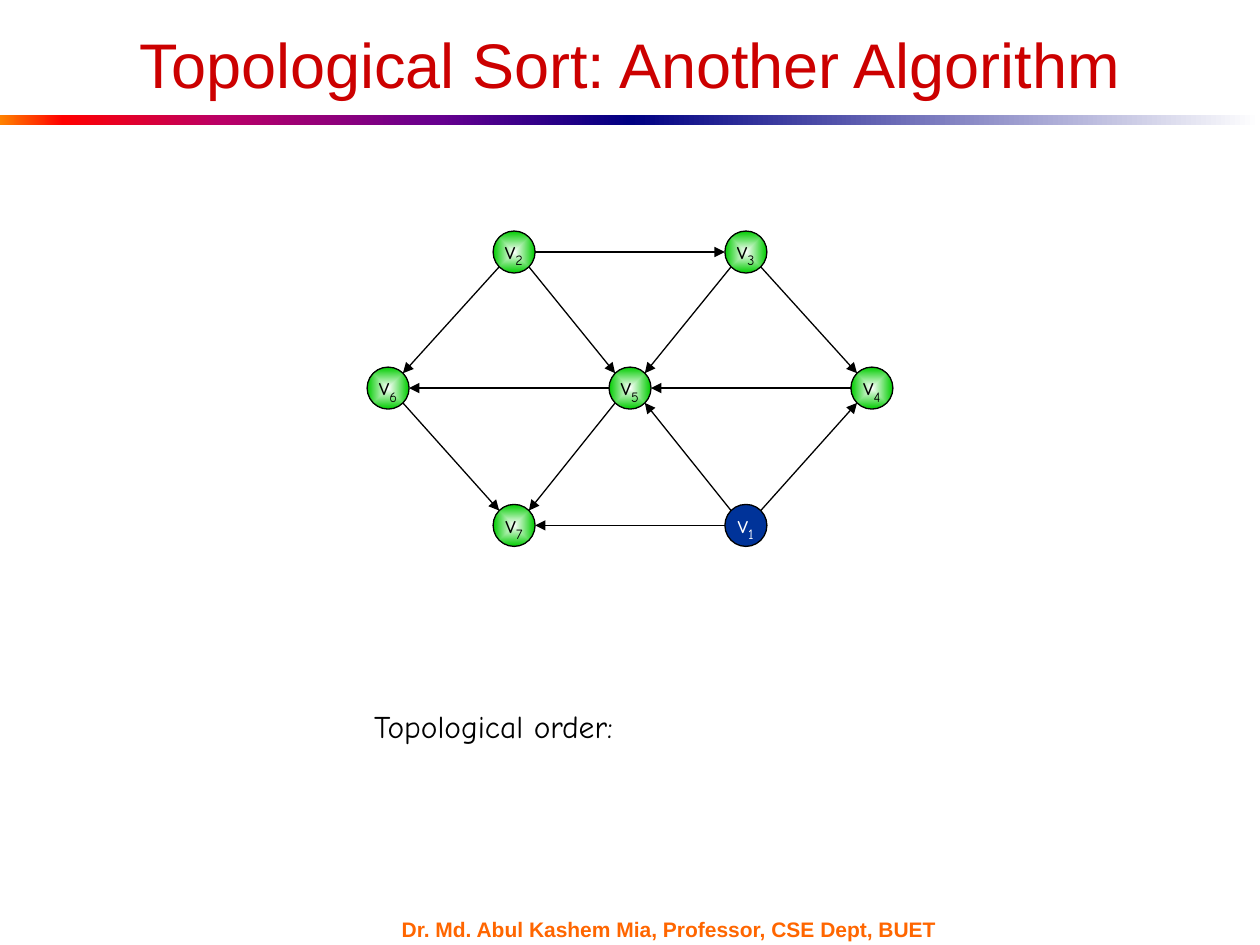
from math import sqrt
from pptx import Presentation
from pptx.dml.color import RGBColor
from pptx.enum.shapes import MSO_CONNECTOR as Connector, MSO_SHAPE as Shape
from pptx.enum.text import MSO_ANCHOR as Anchor, PP_ALIGN as Align
from pptx.oxml import parse_xml
from pptx.oxml.ns import nsdecls, qn
from pptx.util import Inches, Pt

TITLE = "Topological Sort: Another Algorithm"
ORDER_LABEL = "Topological order:"
FOOTER = "Dr. Md. Abul Kashem Mia, Professor, CSE Dept, BUET"

RULE = [
    [(0, "FF8200"), (10, "FF0000"), (35, "BA0066"), (70, "66008F"), (100, "000082")],
    [(0, "000082"), (100, "FFFFFF")],
]
VERTICES = {
    "2": (4.08, 2), "3": (5.92, 2),
    "6": (3.08, 3.08), "5": (5, 3.08), "4": (6.92, 3.08),
    "7": (4.08, 4.17), "1": (5.92, 4.17),
}
CURRENT = "1"
EDGES = ["26", "25", "23", "34", "45", "14", "57", "15", "17", "67", "56", "35"]
VERTEX_FILL = [(0, "FFFFFF"), (100, "00CC00")]
RADIUS = 1 / 6
LINEAR = '<a:lin ang="0" scaled="1"/>'
RADIAL = '<a:path path="shape"><a:fillToRect l="50000" t="50000" r="50000" b="50000"/></a:path>'

prs = Presentation()
prs.slide_width, prs.slide_height = Inches(10), Inches(7.5)
slide = prs.slides.add_slide(prs.slide_layouts[6])


def color(value):
    return RGBColor.from_string(value)


def paint_gradient(shape, stops, direction):
    colors = "".join(
        f'<a:gs pos="{pos * 1000}"><a:srgbClr val="{value}"/></a:gs>' for pos, value in stops
    )
    gradient = parse_xml(
        f'<a:gradFill {nsdecls("a")} rotWithShape="1"><a:gsLst>{colors}</a:gsLst>{direction}</a:gradFill>'
    )
    shape.fill.solid()
    properties = shape.element.spPr
    properties.replace(properties.find(qn("a:solidFill")), gradient)


def add_shape(kind, left, top, width, height):
    shape = slide.shapes.add_shape(kind, Inches(left), Inches(top), Inches(width), Inches(height))
    shape.shadow.inherit = False
    return shape


def write(shape, text, size, ink, font="Arial", bold=False, align=Align.LEFT,
          anchor=Anchor.MIDDLE, wrap=True, subscript=""):
    frame = shape.text_frame
    frame.word_wrap = wrap
    frame.vertical_anchor = anchor
    paragraph = frame.paragraphs[0]
    paragraph.alignment = align
    for content, baseline in ((text, 0), (subscript, -25000)):
        if not content:
            continue
        run = paragraph.add_run()
        run.text = content
        run.font.name, run.font.size, run.font.bold = font, Pt(size), bold
        run.font.color.rgb = color(ink)
        if baseline:
            run.font._element.set("baseline", str(baseline))


def add_text(left, top, width, height, text, **style):
    box = slide.shapes.add_textbox(Inches(left), Inches(top), Inches(width), Inches(height))
    write(box, text, **style)


def add_vertex(number, x, y):
    vertex = add_shape(Shape.OVAL, x - RADIUS, y - RADIUS, 2 * RADIUS, 2 * RADIUS)
    if number == CURRENT:
        vertex.fill.solid()
        vertex.fill.fore_color.rgb = color("003399")
    else:
        paint_gradient(vertex, VERTEX_FILL, RADIAL)
    vertex.line.color.rgb = color("000000")
    vertex.line.width = Pt(0.75)
    write(vertex, "v", subscript=number, size=14, font="Comic Neue", align=Align.CENTER,
          ink="FFFFFF" if number == CURRENT else "000000", wrap=False)


def add_edge(source, target):
    (x1, y1), (x2, y2) = VERTICES[source], VERTICES[target]
    step_x = (x2 > x1) - (x2 < x1)
    step_y = (y2 > y1) - (y2 < y1)
    reach = RADIUS / sqrt(step_x ** 2 + step_y ** 2)
    dx, dy = step_x * reach, step_y * reach
    ends = (x1 + dx, y1 + dy, x2 - dx, y2 - dy)
    edge = slide.shapes.add_connector(Connector.STRAIGHT, *map(Inches, ends))
    edge.line.color.rgb = color("000000")
    edge.line.width = Pt(0.75)
    edge.line._get_or_add_ln().append(parse_xml(f'<a:tailEnd {nsdecls("a")} type="triangle"/>'))
    edge._element.spPr.append(parse_xml(f'<a:effectLst {nsdecls("a")}/>'))


for index, stops in enumerate(RULE):
    half = add_shape(Shape.RECTANGLE, 5 * index, 0.91, 5, 0.08)
    paint_gradient(half, stops, LINEAR)
    half.line.fill.background()

add_text(3.09, 7.28, 4.67, 0.18, FOOTER, size=12, ink="FF6600", bold=True)
add_text(2.87, 5.56, 2.45, 0.45, ORDER_LABEL, size=18, ink="000000",
         font="Comic Neue", anchor=Anchor.TOP)

for number, (x, y) in VERTICES.items():
    add_vertex(number, x, y)
for source, target in EDGES:
    add_edge(source, target)

add_text(0.5, 0.25, 9, 0.51, TITLE, size=36, ink="CC0000", align=Align.CENTER)

prs.save("out.pptx")
